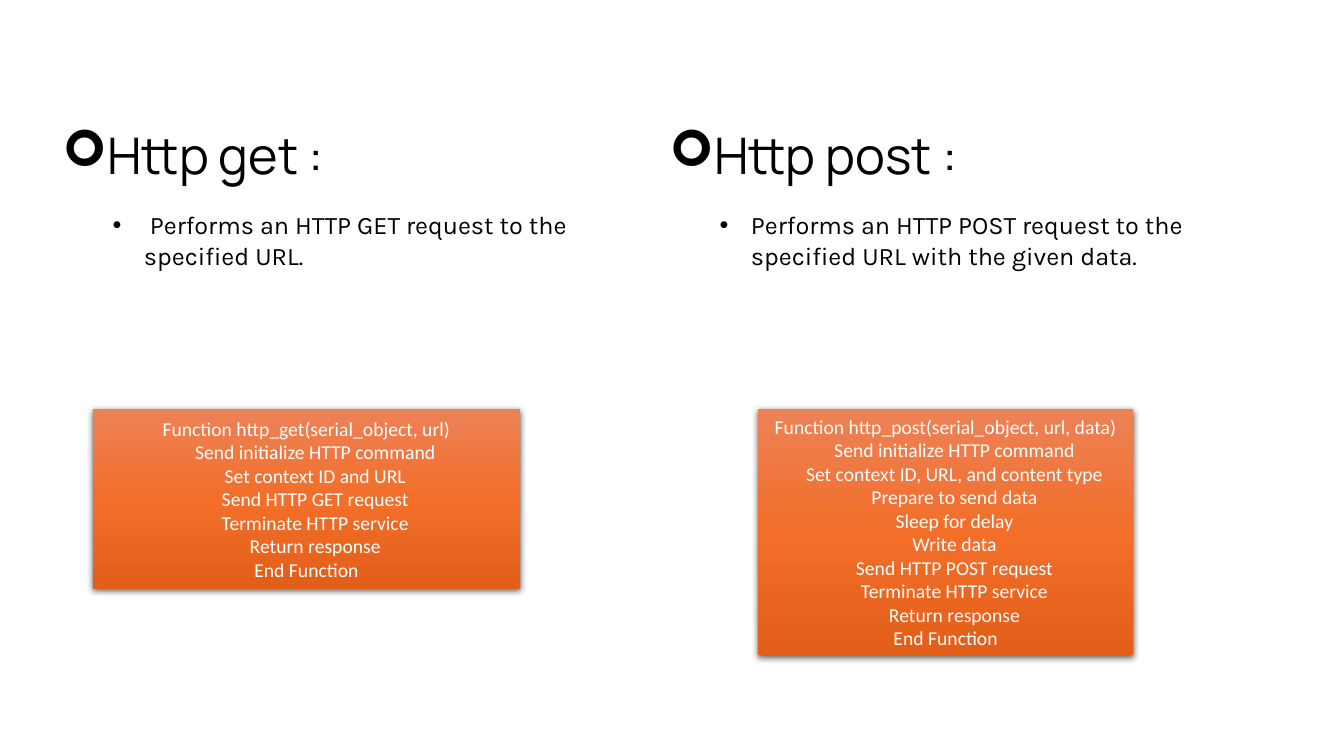
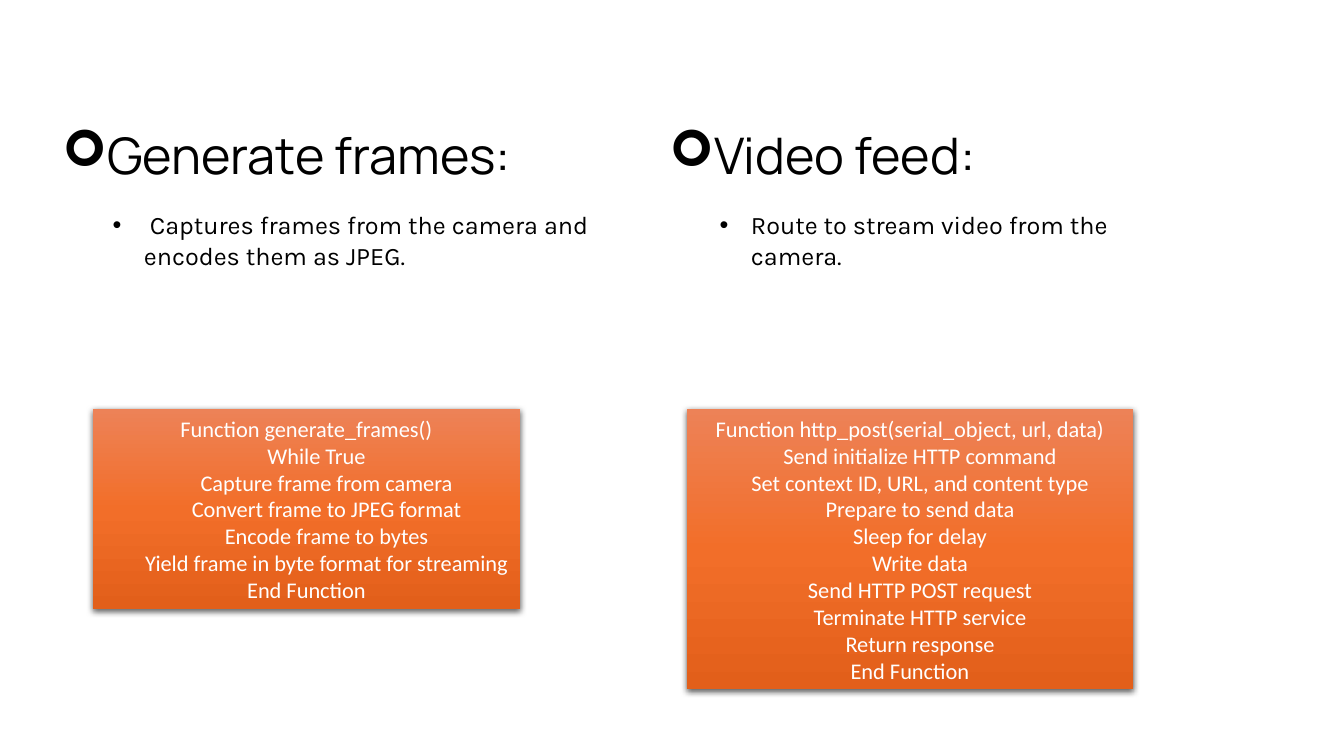
from copy import deepcopy
from lxml.etree import SubElement as Sub
from pptx import Presentation
from pptx.dml.color import RGBColor as RGB
from pptx.enum.shapes import MSO_SHAPE as Shape
from pptx.enum.text import MSO_ANCHOR as Anchor, MSO_AUTO_SIZE as Fit, PP_ALIGN as Align
from pptx.oxml.ns import qn
from pptx.util import Emu, Inches, Pt

BLACK = RGB(0x00, 0x00, 0x00)
WHITE = RGB(0xFF, 0xFF, 0xFF)
GLOW = ((0, RGB(0xED, 0x82, 0x57)), (0.5, RGB(0xF2, 0x6E, 0x29)), (1, RGB(0xE2, 0x5F, 0x1A)))

WIDE, HIGH = Inches(13.33), Inches(7.5)
COL, ROW = WIDE / 100, HIGH / 100
LEFT, RIGHT = (3.9, 15.73, 40.81, 21.6), (49.06, 15.73, 40.81, 21.6)
DROP = 38.4
STEP = Inches(0.31)

HEAD = dict(name="Manrope", size=Pt(36), bold=False)
BODY = dict(name="Karla", size=Pt(18), bold=False)
CODE = dict(name="Calibri", bold=False)

GET = """Function http_get(serial_object, url)
    Send initialize HTTP command
    Set context ID and URL
    Send HTTP GET request
    Terminate HTTP service
    Return response
End Function"""
POST = """Function http_post(serial_object, url, data)
    Send initialize HTTP command
    Set context ID, URL, and content type
    Prepare to send data
    Sleep for delay
    Write data
    Send HTTP POST request
    Terminate HTTP service
    Return response
End Function"""
FRAMES = """Function generate_frames()
    While True
        Capture frame from camera
        Convert frame to JPEG format
        Encode frame to bytes
        Yield frame in byte format for streaming
End Function"""

SLIDES = (
    (14, (
        (LEFT, "Http get :", " Performs an HTTP GET request to the specified URL.",
         GET, (3, 31.81, 23.73)),
        (RIGHT, "Http post :",
         "Performs an HTTP POST request to the specified URL with the given data.",
         POST, (7.35, 27.91, 32.53)),
    )),
    (16, (
        (LEFT, "Generate frames:", " Captures frames from the camera and encodes them as JPEG.",
         FRAMES, (3, 31.81, 26.4)),
        (RIGHT, "Video feed:", "Route to stream video from the camera.",
         POST, (2.03, 33.23, 37.07)),
    )),
)


def place(x, y, w, h):
    return [Emu(round(n)) for n in (x * COL, y * ROW, w * COL, h * ROW)]


def style(font, look, color):
    for key, val in look.items():
        setattr(font, key, val)
    font.color.rgb = color


def bullet(para, mark, face, left):
    props = para._p.get_or_add_pPr()
    props.set("marL", str(left))
    props.set("indent", str(-STEP))
    Sub(props, qn("a:buFont")).set("typeface", face)
    Sub(props, qn("a:buChar")).set("char", mark)


def intro(slide, box, head, body):
    frame = slide.shapes.add_textbox(*place(*box)).text_frame
    frame.word_wrap = True
    frame.auto_size = Fit.SHAPE_TO_FIT_TEXT
    top, note = frame.paragraphs[0], frame.add_paragraph()
    note.level = 1
    note.space_before = Pt(18)
    bullet(top, "➢", "Wingdings", STEP)
    bullet(note, "•", "Arial", Inches(0.81))
    for para, text, look in ((top, head, HEAD), (note, body, BODY)):
        run = para.add_run()
        run.text = text
        style(run.font, look, BLACK)


def paint(card):
    card.fill.gradient()
    card.fill.gradient_angle = 270
    props = card._element.spPr
    stops = props.find(".//" + qn("a:gsLst"))
    stops.append(deepcopy(stops[-1]))
    for stop, (pos, color) in zip(card.fill.gradient_stops, GLOW):
        stop.position = pos
        stop.color.rgb = color
    card.line.fill.background()
    card.shadow.inherit = False
    shade = Sub(props.find(qn("a:effectLst")), qn("a:outerShdw"))
    look = dict(blurRad=Pt(4.5), dist=Pt(1.5), dir=5400000, algn="ctr", rotWithShape=0)
    for key, val in look.items():
        shade.set(key, str(val))
    tint = Sub(shade, qn("a:srgbClr"))
    tint.set("val", str(BLACK))
    Sub(tint, qn("a:alpha")).set("val", "63000")


def code(slide, box, text, size):
    card = slide.shapes.add_shape(Shape.RECTANGLE, *place(*box))
    paint(card)
    frame = card.text_frame
    frame.word_wrap = True
    frame.vertical_anchor = Anchor.MIDDLE
    for i, line in enumerate(text.splitlines()):
        para = frame.add_paragraph() if i else frame.paragraphs[0]
        para.alignment = Align.CENTER
        run = para.add_run()
        run.text = line
        style(run.font, dict(CODE, size=Pt(size)), WHITE)


def panel(slide, box, head, body, text, spot, size):
    x, y = box[:2]
    shift, wide, high = spot
    intro(slide, box, head, body)
    code(slide, (x + shift, y + DROP, wide, high), text, size)


def main():
    deck = Presentation()
    deck.slide_width, deck.slide_height = WIDE, HIGH
    for size, parts in SLIDES:
        slide = deck.slides.add_slide(deck.slide_layouts[6])
        for part in parts:
            panel(slide, *part, size)
    deck.save("out.pptx")


if __name__ == "__main__":
    main()
